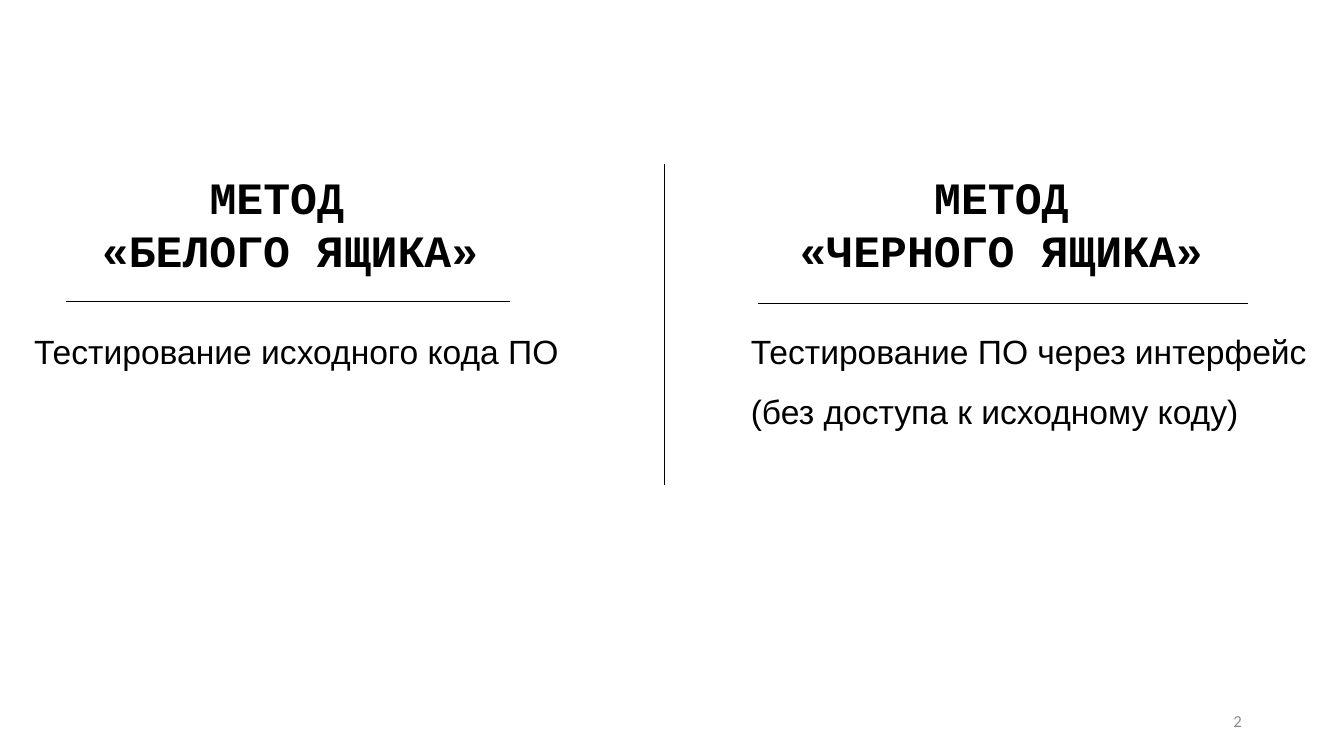
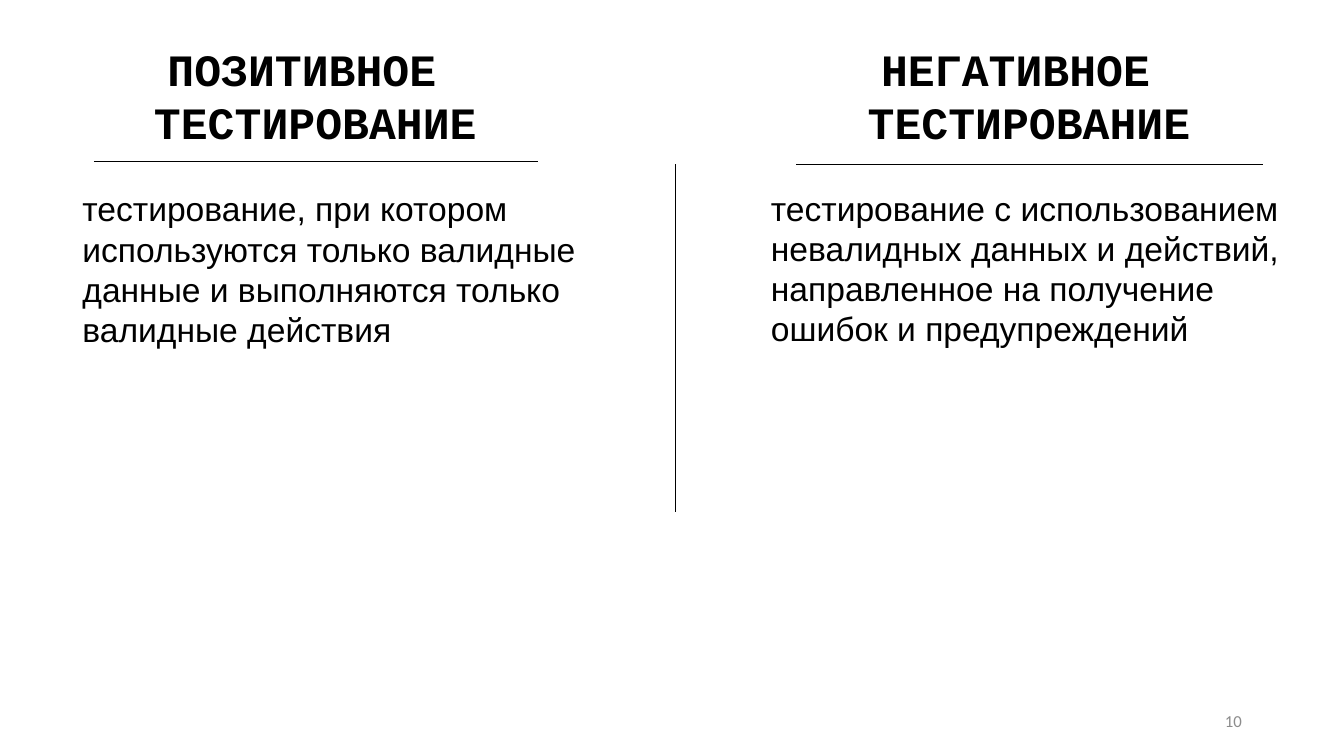
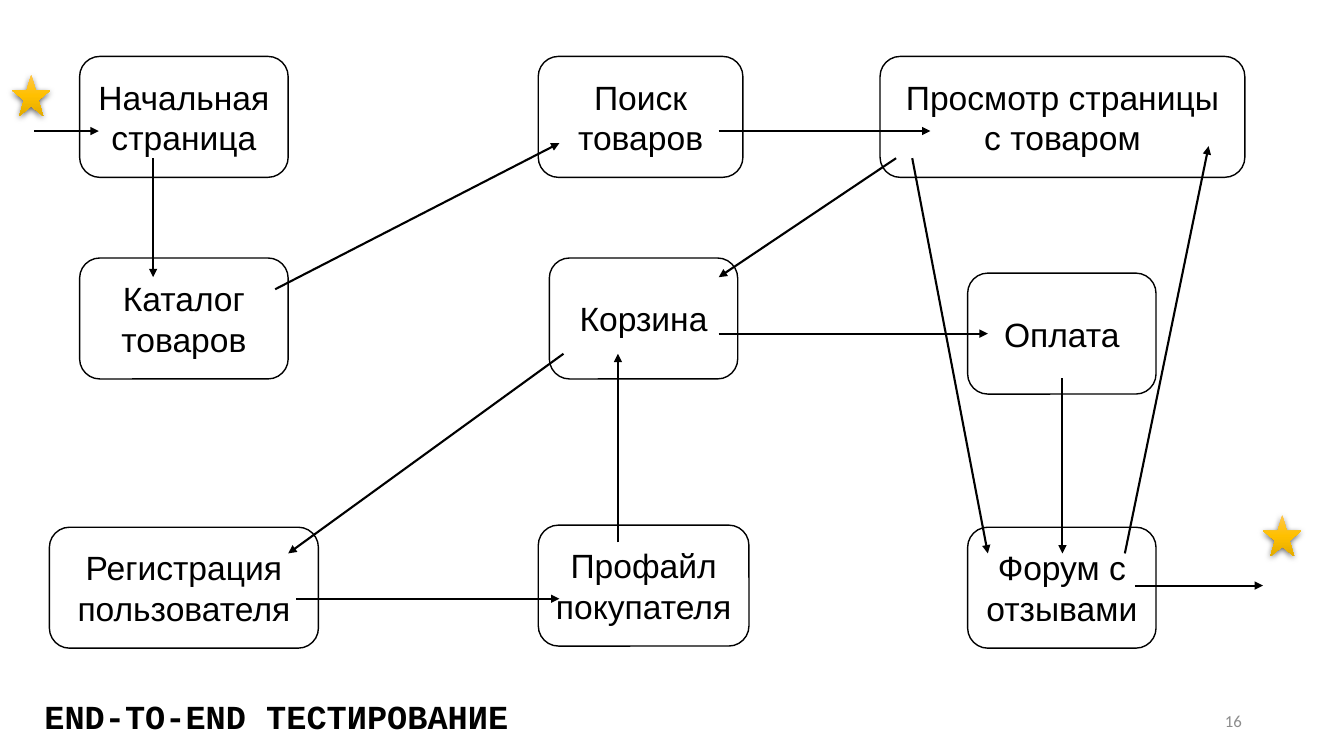
"""Build three slides on software testing methods."""
from pptx import Presentation
from pptx.dml.color import RGBColor
from pptx.enum.shapes import MSO_CONNECTOR, MSO_SHAPE
from pptx.enum.text import MSO_ANCHOR, MSO_AUTO_SIZE, PP_ALIGN
from pptx.oxml import parse_xml
from pptx.oxml.ns import nsdecls
from pptx.util import Pt

BLACK, WHITE, GREY = "000000", "FFFFFF", "8C8C8C"
GOLD_STOPS = [(0, "FFC64B"), (50, "FFC000"), (100, "E3AB00")]
HEADING_FONT, BODY_FONT, NUMBER_FONT = "Courier New", "Arial", "Calibri"
NUMBER_BOX = (678.2, 500.4, 216, 28.8)
HEADING_HEIGHT = 85

COMPARISONS = [
    {
        "number": "2",
        "heading_top": 117.4,
        "spacing": 1.5,
        "divider": (474.5, 117.4, 474.5, 346.3),
        "columns": [
            {"heading": "МЕТОД \n«БЕЛОГО ЯЩИКА»", "heading_span": (64.1, 286.6),
             "rule": (46.8, 215.3, 364.3, 215.3),
             "body": "Тестирование исходного кода ПО",
             "body_box": (17.3, 218.2, 400.3, 80)},
            {"heading": "МЕТОД\n«ЧЕРНОГО ЯЩИКА»", "heading_span": (562.3, 306),
             "rule": (541.4, 216.7, 891.4, 216.7),
             "body": "Тестирование ПО через интерфейс (без доступа к исходному коду)",
             "body_box": (529.2, 218.2, 416.9, 94.3)},
        ],
    },
    {
        "number": "10",
        "heading_top": 25.9,
        "spacing": 1.0,
        "divider": (482.4, 117.4, 482.4, 365.8),
        "columns": [
            {"heading": "ПОЗИТИВНОЕ \nТЕСТИРОВАНИЕ", "heading_span": (101.5, 247.7),
             "rule": (67, 115.2, 384.5, 115.2),
             "body": "тестирование, при котором используются только валидные "
                     "данные и выполняются только валидные действия",
             "body_box": (51.8, 131, 430.6, 123.8)},
            {"heading": "НЕГАТИВНОЕ \nТЕСТИРОВАНИЕ", "heading_span": (611.3, 247.7),
             "rule": (568.8, 117.4, 902.2, 117.4),
             "body": "тестирование с использованием невалидных данных и действий, "
                     "направленное на получение ошибок и предупреждений",
             "body_box": (543.6, 130.3, 383.8, 123.8)},
        ],
    },
]

FLOW_TITLE, FLOW_NUMBER = "END-TO-END ТЕСТИРОВАНИЕ", "16"
FLOW_TITLE_BOX = (24.5, 493.2, 348.5, 36)
STEP_HEIGHT = 86.4
STEPS = [
    ("Начальная страница", 56.9, 40.3, 149),
    ("Поиск товаров", 384.5, 40.3, 146.2),
    ("Просмотр страницы с товаром", 628.6, 40.3, 260.6),
    ("Каталог товаров", 56.9, 184.3, 149),
    ("Корзина", 392.4, 184.3, 134.6),
    ("Оплата", 691.2, 195.1, 134.6),
    ("Регистрация\nпользователя", 35.3, 376.6, 192.2),
    ("Профайл покупателя", 384.5, 375.1, 150.5),
    ("Форум с отзывами", 691.2, 376.6, 134.6),
]
TRANSITIONS = [
    (24.5, 93.6, 70.6, 93.6),
    (109.4, 113, 109.4, 198),
    (196.6, 206.6, 399.6, 102.2),
    (513.4, 93.6, 664.6, 93.6),
    (640.1, 113, 513.4, 198),
    (651.6, 113, 705.6, 395.3),
    (803.5, 395.3, 863.3, 104.4),
    (402.5, 252.7, 205.9, 395.3),
    (211.7, 427.7, 399.6, 427.7),
    (441.4, 387.4, 441.4, 252.7),
    (513.4, 238.3, 705.6, 238.3),
    (758.9, 270, 758.9, 395.3),
    (810.7, 418.3, 902.2, 418.3),
]
STAR_CORNERS = [(8.6, 53.3), (902.2, 367.9)]
STAR_SIZE = (27.4, 29.5)


def colour(value):
    return RGBColor.from_string(value)


def points(values):
    return [Pt(value) for value in values]


def write(shape, text, size=24, font=BODY_FONT, color=BLACK, bold=False,
          align=PP_ALIGN.LEFT, anchor=MSO_ANCHOR.TOP, wrap=True, spacing=1.0):
    frame = shape.text_frame
    frame.auto_size = MSO_AUTO_SIZE.NONE
    frame.word_wrap = wrap
    frame.vertical_anchor = anchor
    frame.text = text
    for paragraph in frame.paragraphs:
        paragraph.alignment = align
        paragraph.line_spacing = spacing
        for run in paragraph.runs:
            run.font.size = Pt(size)
            run.font.name = font
            run.font.bold = bold
            run.font.color.rgb = colour(color)


def add_text(slide, box, text, **text_format):
    write(slide.shapes.add_textbox(*points(box)), text, **text_format)


def set_title(slide, box, text, **text_format):
    title = slide.shapes.title
    title.left, title.top, title.width, title.height = points(box)
    write(title, text, **text_format)


def add_line(slide, ends, width, arrow=False):
    line = slide.shapes.add_connector(MSO_CONNECTOR.STRAIGHT, *points(ends))
    line.line.width = Pt(width)
    line.line.color.rgb = colour(BLACK)
    if arrow:
        line.line._get_or_add_ln().append(
            parse_xml(f'<a:tailEnd {nsdecls("a")} type="triangle"/>'))
    line._element.spPr.append(parse_xml(f'<a:effectLst {nsdecls("a")}/>'))


def add_step(slide, label, left, top, width):
    step = slide.shapes.add_shape(MSO_SHAPE.ROUNDED_RECTANGLE,
                                  *points((left, top, width, STEP_HEIGHT)))
    step.shadow.inherit = False
    step.fill.solid()
    step.fill.fore_color.rgb = colour(WHITE)
    step.line.color.rgb = colour(BLACK)
    step.line.width = Pt(1)
    write(step, label, align=PP_ALIGN.CENTER, anchor=MSO_ANCHOR.MIDDLE)


def add_star(slide, corner):
    star = slide.shapes.add_shape(MSO_SHAPE.STAR_5_POINT, *points(corner + STAR_SIZE))
    star.line.fill.background()
    stops = "".join(f'<a:gs pos="{position * 1000}"><a:srgbClr val="{color}"/></a:gs>'
                    for position, color in GOLD_STOPS)
    properties = star._element.spPr
    properties.insert(2, parse_xml(
        f'<a:gradFill {nsdecls("a")} rotWithShape="1"><a:gsLst>{stops}</a:gsLst>'
        '<a:lin ang="5400000" scaled="0"/></a:gradFill>'))
    properties.append(parse_xml(
        f'<a:effectLst {nsdecls("a")}><a:outerShdw blurRad="{Pt(4.5)}" dist="{Pt(1.5)}" '
        'dir="5400000" algn="ctr" rotWithShape="0">'
        f'<a:srgbClr val="{BLACK}"><a:alpha val="63000"/></a:srgbClr>'
        '</a:outerShdw></a:effectLst>'))


def add_slide(deck, number):
    slide = deck.slides.add_slide(deck.slide_layouts[5])
    add_text(slide, NUMBER_BOX, number, size=12, font=NUMBER_FONT, color=GREY,
             align=PP_ALIGN.RIGHT, anchor=MSO_ANCHOR.MIDDLE)
    return slide


def build_comparison(deck, comparison):
    slide = add_slide(deck, comparison["number"])
    for column, place_heading in zip(comparison["columns"], (set_title, add_text)):
        left, width = column["heading_span"]
        place_heading(slide, (left, comparison["heading_top"], width, HEADING_HEIGHT),
                      column["heading"], size=32, font=HEADING_FONT, bold=True,
                      align=PP_ALIGN.CENTER, wrap=False)
        add_line(slide, column["rule"], 0.5)
        add_text(slide, column["body_box"], column["body"], spacing=comparison["spacing"])
    add_line(slide, comparison["divider"], 0.5)


def build_flow(deck):
    slide = add_slide(deck, FLOW_NUMBER)
    set_title(slide, FLOW_TITLE_BOX, FLOW_TITLE, font=HEADING_FONT, bold=True, wrap=False)
    for step in STEPS:
        add_step(slide, *step)
    for transition in TRANSITIONS:
        add_line(slide, transition, 1.5, arrow=True)
    for corner in STAR_CORNERS:
        add_star(slide, corner)


deck = Presentation()
deck.slide_width, deck.slide_height = Pt(960), Pt(540)
for comparison in COMPARISONS:
    build_comparison(deck, comparison)
build_flow(deck)
deck.save("out.pptx")
